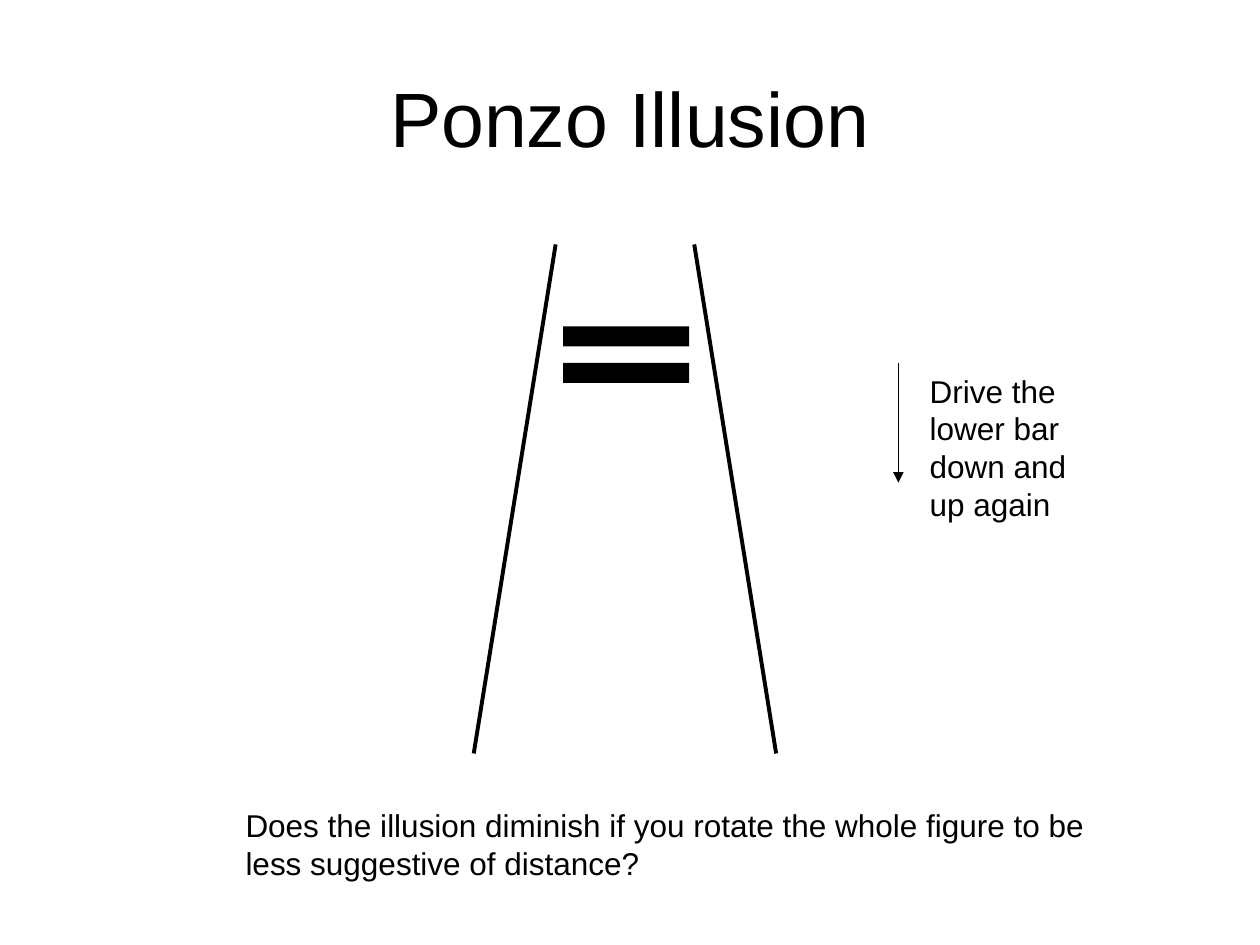
from lxml import etree
from pptx import Presentation
from pptx.dml.color import RGBColor
from pptx.enum.shapes import MSO_CONNECTOR, MSO_SHAPE
from pptx.enum.text import MSO_ANCHOR, PP_ALIGN
from pptx.oxml.ns import qn
from pptx.util import Inches, Pt

LINE = MSO_CONNECTOR.STRAIGHT
RECT = MSO_SHAPE.RECTANGLE
TOP, MIDDLE = MSO_ANCHOR.TOP, MSO_ANCHOR.MIDDLE
LEFT, CENTER = PP_ALIGN.LEFT, PP_ALIGN.CENTER
COLORS = {"ink": "000000", "paper": "FFFFFF"}


class Painter:
    """Holds the style and the current slide."""

    def __init__(self, slide):
        self.slide = slide
        self.font = "Arial"
        self.ink = RGBColor.from_string(COLORS["ink"])
        fill = slide.background.fill
        fill.solid()
        fill.fore_color.rgb = RGBColor.from_string(COLORS["paper"])

    def text(self, words, box, size=18, align=LEFT, anchor=TOP):
        shape = self.slide.shapes.add_textbox(*map(Inches, box))
        frame = shape.text_frame
        frame.word_wrap = True
        frame.vertical_anchor = anchor
        frame.text = words
        para = frame.paragraphs[0]
        para.alignment = align
        font = para.runs[0].font
        font.name = self.font
        font.size = Pt(size)
        font.color.rgb = self.ink

    def bar(self, box):
        shape = self.slide.shapes.add_shape(RECT, *map(Inches, box))
        shape.shadow.inherit = False
        shape.fill.solid()
        shape.fill.fore_color.rgb = self.ink
        shape.line.fill.background()

    def line(self, start, end, width, arrow=False):
        shape = self.slide.shapes.add_connector(LINE, *map(Inches, start + end))
        shape.line.color.rgb = self.ink
        shape.line.width = Pt(width)
        props = shape.element.spPr
        if arrow:
            tail = etree.SubElement(props.find(qn("a:ln")), qn("a:tailEnd"))
            tail.set("type", "triangle")
        etree.SubElement(props, qn("a:effectLst"))


def main():
    deck = Presentation()
    deck.slide_width, deck.slide_height = Inches(10), Inches(7.5)
    paint = Painter(deck.slides.add_slide(deck.slide_layouts[6]))

    paint.text("Ponzo Illusion", (0.5, 0.3, 9, 1.25), 44, CENTER, MIDDLE)
    center = 4.96
    for side in (-1, 1):
        paint.line((center + side * 0.55, 1.94), (center + side * 1.2, 5.98), 2.25)
    for top in (2.59, 2.88):
        paint.bar((4.47, top, 1, 0.16))
    paint.line((7.13, 2.88), (7.13, 3.83), 0.75, arrow=True)
    paint.text("Drive the lower bar down and up again", (7.28, 2.9, 1.58, 1.31))
    paint.text(
        "Does the illusion diminish if you rotate the whole figure to be "
        "less suggestive of distance?",
        (1.85, 6.35, 7.05, 0.71),
    )
    deck.save("out.pptx")


if __name__ == "__main__":
    main()
